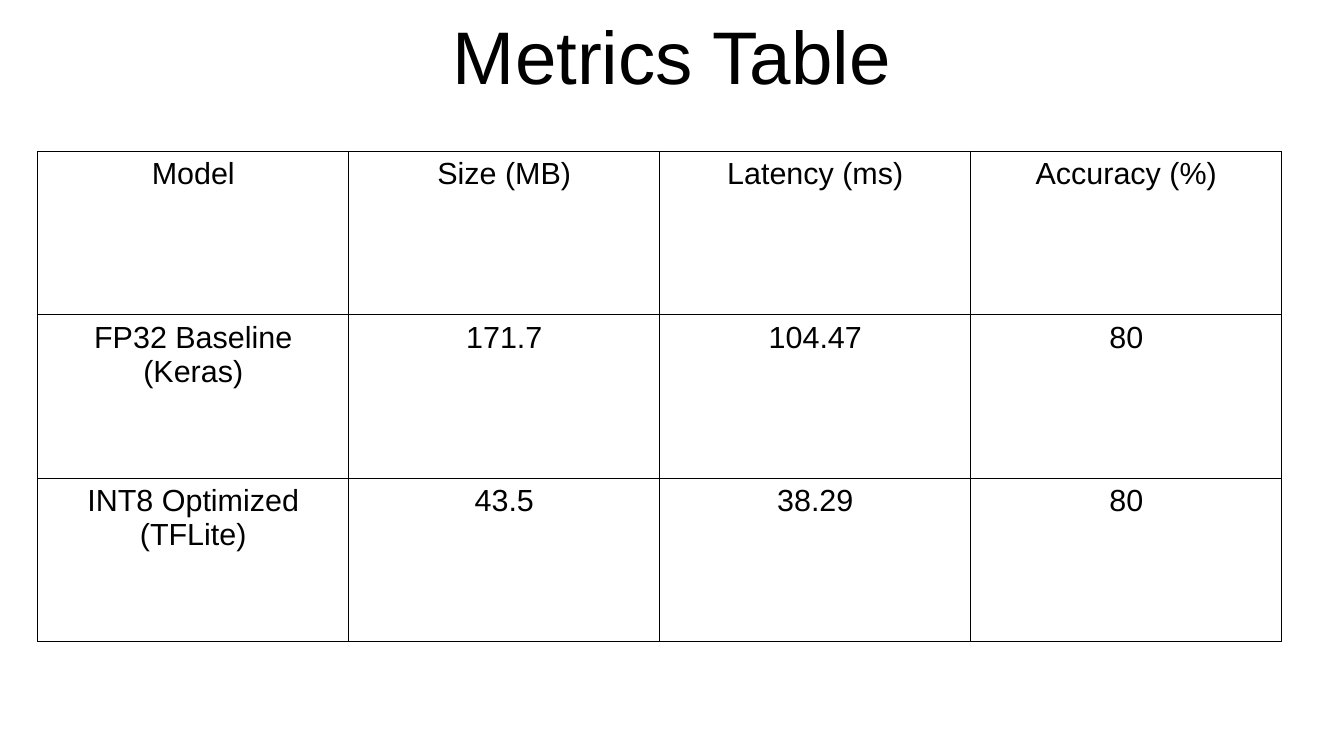
from lxml.etree import SubElement
from pptx import Presentation
from pptx.dml.color import RGBColor
from pptx.enum.text import MSO_ANCHOR, MSO_AUTO_SIZE, PP_ALIGN
from pptx.oxml.ns import qn
from pptx.util import Inches, Pt

COLORS = {"text": "000000", "border": "000000", "background": "FFFFFF"}
FONT = "Arial"

METRICS = [
    ["Model", "Size (MB)", "Latency (ms)", "Accuracy (%)"],
    ["FP32 Baseline (Keras)", "171.7", "104.47", "80"],
    ["INT8 Optimized (TFLite)", "43.5", "38.29", "80"],
]


def write_text(frame, text, size=18, color="text", align=PP_ALIGN.CENTER):
    paragraph = frame.paragraphs[0]
    paragraph.alignment = align
    span = paragraph.add_run()
    span.text = text
    span.font.name = FONT
    span.font.size = Pt(size)
    span.font.color.rgb = RGBColor.from_string(COLORS[color])


class MetricsPage:
    def __init__(self, deck):
        self.page = deck.slides.add_slide(deck.slide_layouts[5])
        fill = self.page.background.fill
        fill.solid()
        fill.fore_color.rgb = RGBColor.from_string(COLORS["background"])

    def title(self, text, left, top, width, height):
        box = self.page.shapes.title
        box.left, box.top = Inches(left), Inches(top)
        box.width, box.height = Inches(width), Inches(height)
        frame = box.text_frame
        frame.margin_left = frame.margin_right = 0
        frame.margin_top = frame.margin_bottom = 0
        frame.vertical_anchor = MSO_ANCHOR.TOP
        frame.word_wrap = True
        frame.auto_size = MSO_AUTO_SIZE.NONE
        write_text(frame, text, size=44)

    def table(self, rows, left, top, column_width, row_height):
        row_count, column_count = len(rows), len(rows[0])
        table = self.page.shapes.add_table(
            row_count, column_count, Inches(left), Inches(top),
            Inches(column_width * column_count), Inches(row_height * row_count),
        ).table
        table.first_row = table.horz_banding = False
        for column in table.columns:
            column.width = Inches(column_width)
        for row, texts in zip(table.rows, rows):
            row.height = Inches(row_height)
            for cell, text in zip(row.cells, texts):
                self.cell(cell, text)

    def cell(self, cell, text):
        cell.margin_left = cell.margin_right = Inches(0.04)
        cell.margin_top = cell.margin_bottom = Inches(0.05)
        cell.vertical_anchor = MSO_ANCHOR.TOP
        write_text(cell.text_frame, text)
        # Borders come before the fill in the cell properties
        properties = cell._tc.get_or_add_tcPr()
        for side in ("lnL", "lnR", "lnT", "lnB"):
            line = SubElement(properties, qn(f"a:{side}"), w=str(Pt(0.57)))
            solid = SubElement(line, qn("a:solidFill"))
            SubElement(solid, qn("a:srgbClr"), val=COLORS["border"])
        cell.fill.background()


def main():
    deck = Presentation()
    deck.slide_width, deck.slide_height = Inches(11.02), Inches(6.2)
    page = MetricsPage(deck)

    # Heading
    page.title("Metrics Table", 0.55, 0.08, 9.92, 1.37)

    # Model comparison
    page.table(METRICS, 0.31, 1.24, column_width=2.55, row_height=1.34)

    deck.save("out.pptx")


if __name__ == "__main__":
    main()
